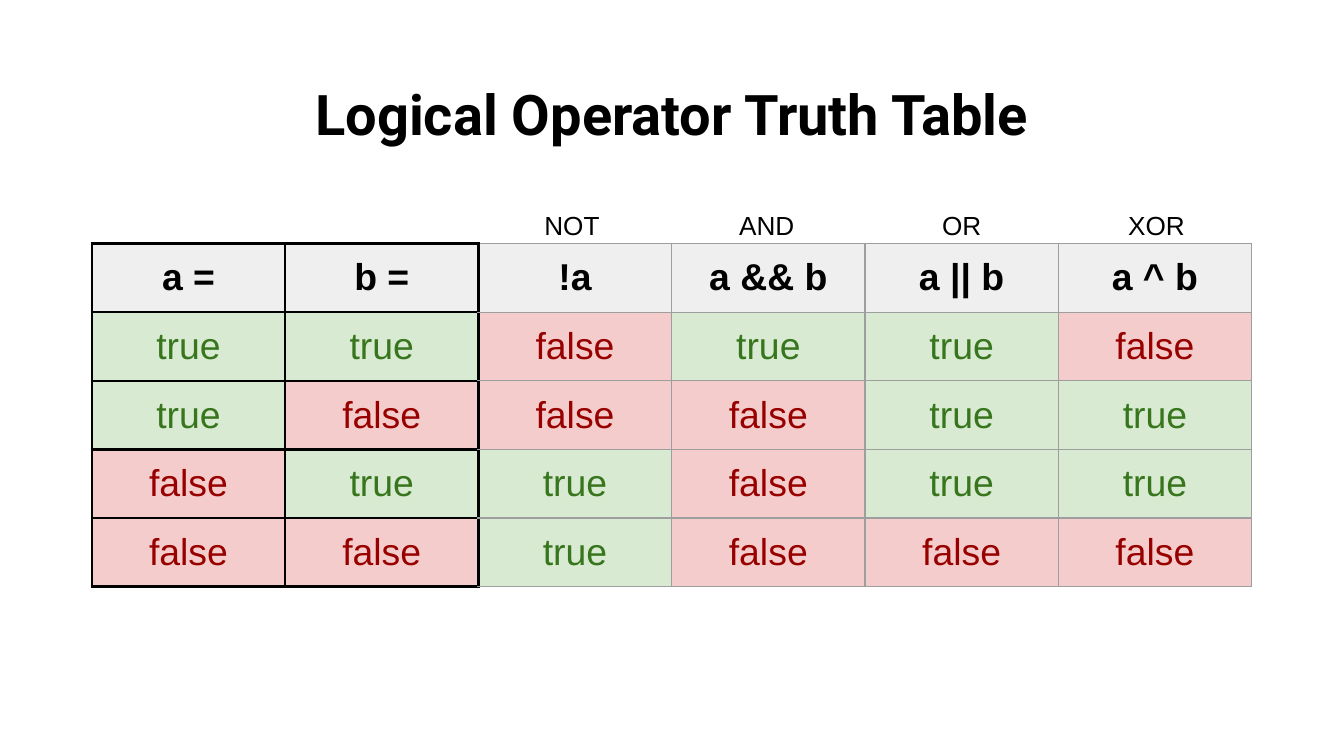
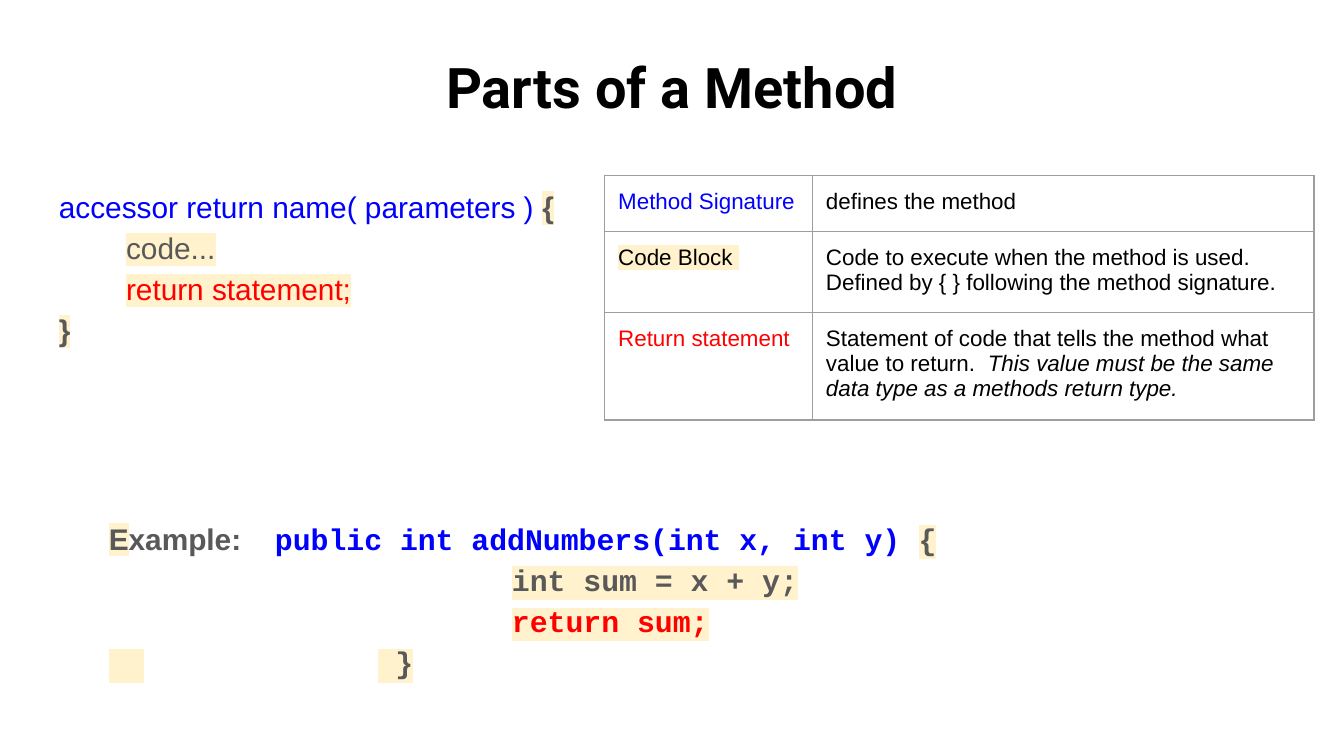
from copy import deepcopy
from dataclasses import dataclass
from typing import Optional

from lxml import etree
from pptx import Presentation
from pptx.dml.color import RGBColor
from pptx.enum import text as t
from pptx.oxml.ns import qn
from pptx.util import Pt

BLACK = RGBColor(0x00, 0x00, 0x00)
GREY_LINE = RGBColor(0x9E, 0x9E, 0x9E)
GREY_TEXT = RGBColor(0x59, 0x59, 0x59)
HEADER_FILL = RGBColor(0xEF, 0xEF, 0xEF)
TRUE_TEXT = RGBColor(0x38, 0x76, 0x1D)
TRUE_FILL = RGBColor(0xD9, 0xEA, 0xD3)
FALSE_TEXT = RGBColor(0x98, 0x00, 0x00)
FALSE_FILL = RGBColor(0xF4, 0xCC, 0xCC)
BLUE = RGBColor(0x00, 0x00, 0xFF)
RED = RGBColor(0xFF, 0x00, 0x00)
CREAM = RGBColor(0xFF, 0xF2, 0xCC)

TITLE_FONT, BODY_FONT, CODE_FONT = "Roboto", "Arial", "Courier New"
INSET = Pt(7.2)
ROW_HEIGHT = 30
TITLE_ONLY = 5


@dataclass(frozen=True)
class Border:
    color: RGBColor = GREY_LINE
    width: float = 0.75


@dataclass(frozen=True)
class Span:
    """A stretch of text in one format; a newline is a line break."""
    text: str
    color: RGBColor = BLACK
    bold: bool = False
    italic: bool = False
    highlight: Optional[RGBColor] = None
    font: str = BODY_FONT


THIN = Border()
THICK = Border(BLACK, 1.5)

LABELS = ["NOT", "AND", "OR", "XOR"]
TRUTH_TABLE = [
    ["a =", "b =", "!a", "a && b", "a || b", "a ^ b"],
    ["true", "true", "false", "true", "true", "false"],
    ["true", "false", "false", "false", "true", "true"],
    ["false", "true", "true", "false", "true", "true"],
    ["false", "false", "true", "false", "false", "false"],
]
CELL_COLORS = {"true": (TRUE_TEXT, TRUE_FILL), "false": (FALSE_TEXT, FALSE_FILL)}

METHOD_PATTERN = [
    Span("accessor return name( parameters ) ", BLUE),
    Span("{\n", GREY_TEXT, bold=True, highlight=CREAM),
    Span("\tcode...\n\t", GREY_TEXT, highlight=CREAM),
    Span("return statement;\n", RED, highlight=CREAM),
    Span("}", GREY_TEXT, bold=True, highlight=CREAM),
]
METHOD_PARTS = [
    [[Span("Method Signature", BLUE)], [Span("defines the method")]],
    [[Span("Code Block ", highlight=CREAM)],
     [Span("Code to execute when the method is used.  "
           "Defined by { } following the method signature.")]],
    [[Span("Return statement", RED)],
     [Span("Statement of code that tells the method what value to return.  "),
      Span("This value must be the same data type as a methods return type.",
           italic=True)]],
]
EXAMPLE = [
    Span("E", GREY_TEXT, bold=True, highlight=CREAM),
    Span("xample:\t", GREY_TEXT, bold=True),
    Span("public int addNumbers(int x, int y) ", BLUE, bold=True, font=CODE_FONT),
    Span("{\n\t\t\tint sum = x + y;\n\t\t\t", GREY_TEXT, bold=True,
         highlight=CREAM, font=CODE_FONT),
    Span("return sum;\n", RED, bold=True, highlight=CREAM, font=CODE_FONT),
    Span("  \t\t }", GREY_TEXT, bold=True, highlight=CREAM, font=CODE_FONT),
]


def add_color(parent, tag: str, color: RGBColor):
    element = etree.SubElement(parent, qn(tag))
    etree.SubElement(element, qn("a:srgbClr"), val=str(color))
    return element


def add_run(paragraph, text: str, *, size: float, font: str, color: RGBColor,
            bold: bool = False, italic: bool = False,
            highlight: Optional[RGBColor] = None):
    run = paragraph.add_run()
    run.text = text
    run.font.name = font
    run.font.size = Pt(size)
    run.font.bold = bold
    run.font.italic = italic
    run.font.color.rgb = color
    properties = run._r.get_or_add_rPr()
    if highlight is not None:
        mark = add_color(properties, "a:highlight", highlight)
        properties.find(qn("a:solidFill")).addnext(mark)
    return properties


def write_spans(paragraph, spans: list[Span], size: float) -> None:
    for span in spans:
        properties = None
        for index, line in enumerate(span.text.split("\n")):
            if index:
                paragraph.add_line_break()
                paragraph._p[-1].append(deepcopy(properties))
            if line:
                properties = add_run(
                    paragraph, line, size=size, font=span.font, color=span.color,
                    bold=span.bold, italic=span.italic, highlight=span.highlight)


def set_insets(frame) -> None:
    """Give a text frame or a table cell the shared margins."""
    frame.margin_left = frame.margin_right = INSET
    frame.margin_top = frame.margin_bottom = INSET


def add_text(slide, left: float, top: float, width: float, height: float,
             spans: list[Span], size: float):
    shape = slide.shapes.add_textbox(Pt(left), Pt(top), Pt(width), Pt(height))
    frame = shape.text_frame
    frame.word_wrap = True
    set_insets(frame)
    paragraph = frame.paragraphs[0]
    write_spans(paragraph, spans, size)
    return paragraph


def add_titled_slide(presentation, title: str, top: float):
    slide = presentation.slides.add_slide(presentation.slide_layouts[TITLE_ONLY])
    shape = slide.shapes.title
    shape.left, shape.top, shape.width, shape.height = (
        Pt(24.5), Pt(top), Pt(671), Pt(45))
    frame = shape.text_frame
    frame.word_wrap = True
    frame.auto_size = t.MSO_AUTO_SIZE.NONE
    frame.vertical_anchor = t.MSO_ANCHOR.TOP
    set_insets(frame)
    paragraph = frame.paragraphs[0]
    paragraph.alignment = t.PP_ALIGN.CENTER
    add_run(paragraph, title, size=30, font=TITLE_FONT, color=BLACK, bold=True)
    return slide


def add_plain_table(slide, left: float, top: float, widths: list[float], rows: int):
    frame = slide.shapes.add_table(rows, len(widths), Pt(left), Pt(top),
                                   Pt(sum(widths)), Pt(rows * ROW_HEIGHT))
    table = frame.table
    table.first_row = table.horz_banding = False
    for column, width in zip(table.columns, widths):
        column.width = Pt(width)
    return table


def fill_cell(cell, spans: list[Span], size: float, *,
              fill: Optional[RGBColor] = None, left: Border = THIN,
              others: Border = THIN, alignment=t.PP_ALIGN.LEFT) -> None:
    set_insets(cell)
    properties = cell._tc.get_or_add_tcPr()
    for side in "LRTB":
        border = left if side == "L" else others
        line = etree.SubElement(properties, qn(f"a:ln{side}"),
                                w=str(Pt(border.width)))
        add_color(line, "a:solidFill", border.color)
    if fill is None:
        cell.fill.background()
    else:
        cell.fill.solid()
        cell.fill.fore_color.rgb = fill
    paragraph = cell.text_frame.paragraphs[0]
    paragraph.alignment = alignment
    write_spans(paragraph, spans, size)


def build_truth_table(presentation) -> None:
    slide = add_titled_slide(presentation, "Logical Operator Truth Table", 35.5)
    table = add_plain_table(slide, 49.2, 130.5, [103.57] * 6, len(TRUTH_TABLE))
    for row, values in enumerate(TRUTH_TABLE):
        for column, value in enumerate(values):
            color, fill = CELL_COLORS.get(value, (BLACK, HEADER_FILL))
            fill_cell(table.cell(row, column), [Span(value, color, bold=row == 0)],
                      20, fill=fill, left=THICK if column <= 2 else THIN,
                      others=THICK if column < 2 else THIN,
                      alignment=t.PP_ALIGN.CENTER)
    for index, label in enumerate(LABELS):
        paragraph = add_text(slide, 266.4 + index * 104.4, 105.1, 80, 31.5,
                             [Span(label)], 14)
        paragraph.alignment = t.PP_ALIGN.CENTER


def build_method_parts(presentation) -> None:
    slide = add_titled_slide(presentation, "Parts of a Method", 21)
    pattern = add_text(slide, 24.5, 91, 684, 147.5, METHOD_PATTERN, 16)
    pattern.line_spacing = 1.15

    table = add_plain_table(slide, 324, 94.2, [111.3, 268.7], len(METHOD_PARTS))
    for row, cells in enumerate(METHOD_PARTS):
        for column, spans in enumerate(cells):
            fill_cell(table.cell(row, column), spans, 12)

    example = add_text(slide, 51.2, 268.6, 610, 101, EXAMPLE, 16)
    tab_list = etree.SubElement(example._p.get_or_add_pPr(), qn("a:tabLst"))
    for position in (89, 144, 216):
        etree.SubElement(tab_list, qn("a:tab"), pos=str(Pt(position)), algn="l")
    example.line_spacing = 1.15
    example.space_after = Pt(16)


def main() -> None:
    presentation = Presentation()
    presentation.slide_width, presentation.slide_height = Pt(720), Pt(405)
    build_truth_table(presentation)
    build_method_parts(presentation)
    presentation.save("out.pptx")


if __name__ == "__main__":
    main()
